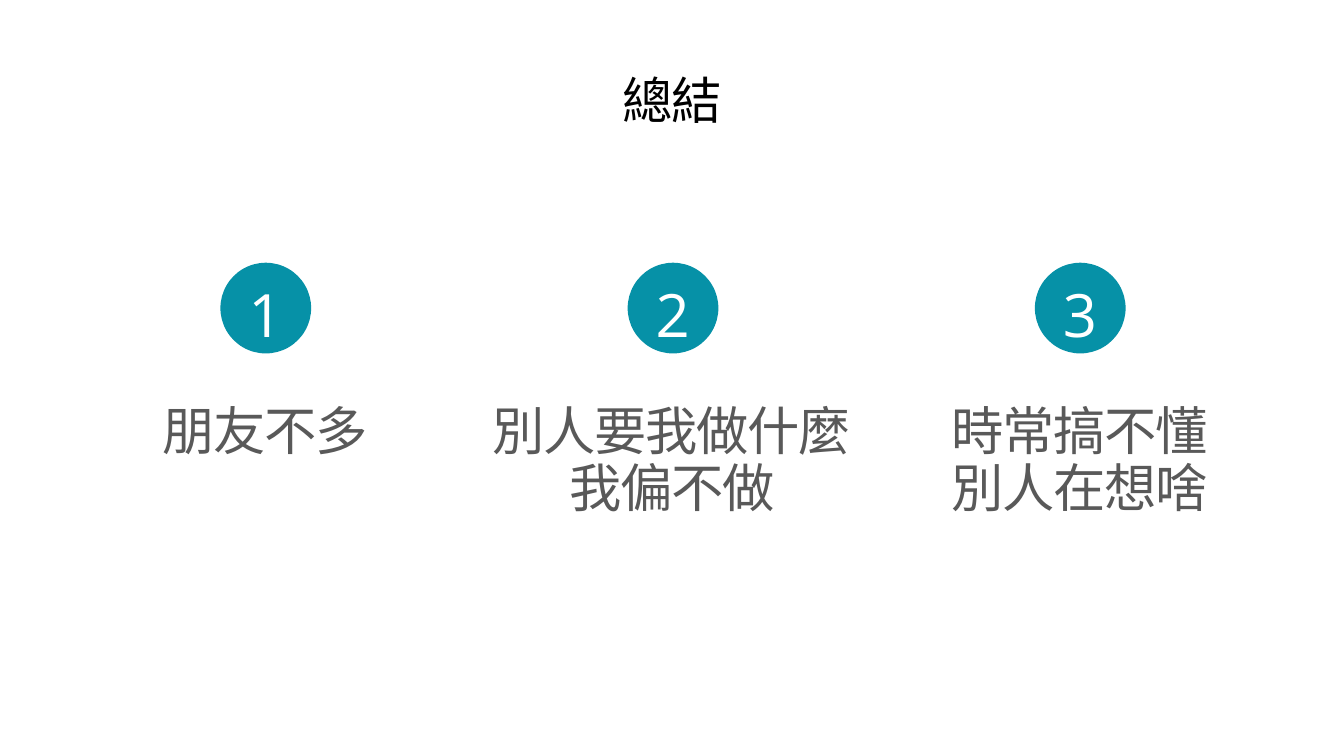
import pptx
import pptx.util
import pptx.dml.color
import pptx.enum.shapes
import pptx.enum.text
import lxml.etree

Inches = pptx.util.Inches
Pt = pptx.util.Pt
RGBColor = pptx.dml.color.RGBColor

TEAL = RGBColor(0x06, 0x91, 0xA7)
GRAY = RGBColor(0x59, 0x59, 0x59)
WHITE = RGBColor(0xFF, 0xFF, 0xFF)
BLACK = RGBColor(0x00, 0x00, 0x00)

TITLE = {"size": Pt(54), "name": "Calibri"}
BODY = {"size": Pt(56), "name": "Calibri"}
NUMBER = {"size": Pt(64), "name": "Open Sans"}


def add_text(s, box, lines, font, color, spacing, tracking):
    sp = s.shapes.add_textbox(*[Inches(v) for v in box])
    tf = sp.text_frame
    frame = {
        "margin_left": 0, "margin_top": 0, "margin_right": 0, "margin_bottom": 0,
        "word_wrap": True,
        "auto_size": pptx.enum.text.MSO_AUTO_SIZE.SHAPE_TO_FIT_TEXT,
    }
    for key, value in frame.items():
        setattr(tf, key, value)
    for i, line in enumerate(lines):
        p = tf.paragraphs[0] if i == 0 else tf.add_paragraph()
        p.alignment = pptx.enum.text.PP_ALIGN.CENTER
        p.line_spacing = Pt(spacing)
        r = p.add_run()
        r.text = line
        for key, value in font.items():
            setattr(r.font, key, value)
        r.font.color.rgb = color
        rPr = r._r.get_or_add_rPr()
        rPr.set("spc", str(round(tracking * 100)))
        ea = lxml.etree.SubElement(rPr, pptx.oxml.ns.qn("a:ea"))
        ea.set("typeface", font["name"])


prs = pptx.Presentation()
prs.slide_width = Inches(20)
prs.slide_height = Inches(11.25)
s = prs.slides.add_slide(prs.slide_layouts[6])

add_text(s, (8.88, 1.12, 2.24, 0.89), ["總結"], TITLE, BLACK, 58.3, -1.3)

points = [
    ["朋友不多"],
    ["別人要我做什麼", "我偏不做"],
    ["時常搞不懂", "別人在想啥"],
]
for i, lines in enumerate(points):
    left = 1.23 + 6.06 * i
    height = 0.94 + 0.86 * (len(lines) - 1)
    add_text(s, (left, 6, 5.42, height), lines, BODY, GRAY, 61.6, -1.4)

    circle = s.shapes.add_shape(
        pptx.enum.shapes.MSO_SHAPE.OVAL,
        Inches(left + 2.05), Inches(3.91), Inches(1.35), Inches(1.35))
    circle.shadow.inherit = False
    circle.fill.solid()
    circle.fill.fore_color.rgb = TEAL
    circle.line.fill.background()

    add_text(s, (left + 2.04, 3.8, 1.36, 1.31), [str(i + 1)], NUMBER, WHITE, 100.5, -1.6)

prs.save("out.pptx")
